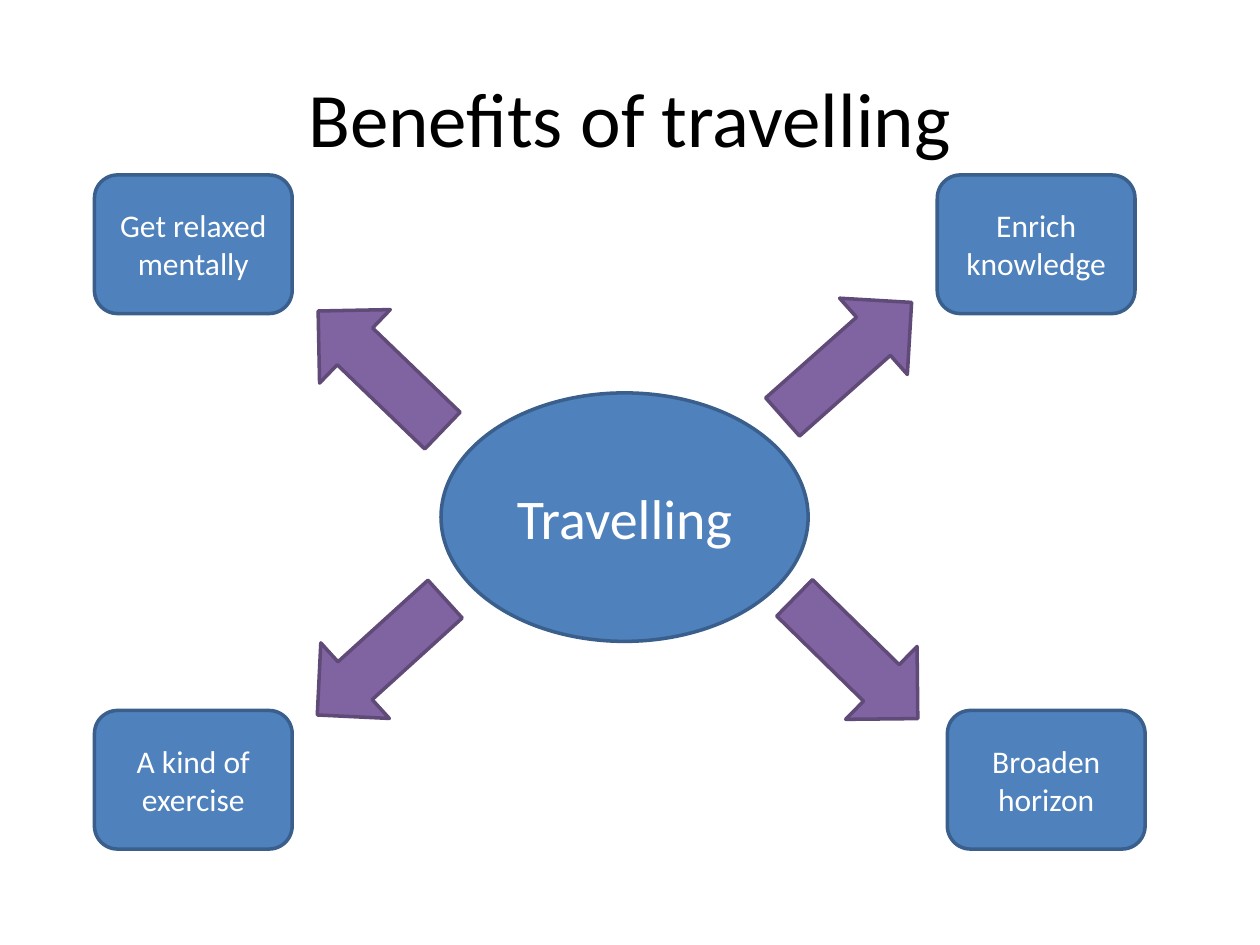
import pptx
import pptx.dml.color
import pptx.enum.shapes
import pptx.enum.text
import pptx.util

Pt = pptx.util.Pt
SHAPES = pptx.enum.shapes.MSO_SHAPE


def color(hex_string):
    return pptx.dml.color.RGBColor.from_string(hex_string)


class SlideBuilder:
    FONT = "Calibri"
    BLUE = ("4F81BD", "3A5F8C")
    PURPLE = ("8064A2", "5F4A78")
    BOX_SIZE = (113, 79.2)
    ARROW_SIZE = (98.6, 58.3)

    def __init__(self, slide):
        self.slide = slide

    def set_text(self, shape, text, size, text_color):
        frame = shape.text_frame
        frame.word_wrap = True
        frame.vertical_anchor = pptx.enum.text.MSO_ANCHOR.MIDDLE
        paragraph = frame.paragraphs[0]
        paragraph.alignment = pptx.enum.text.PP_ALIGN.CENTER
        run = paragraph.add_run()
        run.text = text
        run.font.name = self.FONT
        run.font.size = Pt(size)
        run.font.color.rgb = color(text_color)

    def title(self, text, left, top, width, height):
        shape = self.slide.shapes.title
        shape.left, shape.top = Pt(left), Pt(top)
        shape.width, shape.height = Pt(width), Pt(height)
        self.set_text(shape, text, 44, "000000")

    def filled_shape(self, preset, position, size, colors):
        shape = self.slide.shapes.add_shape(
            preset, *[Pt(length) for length in (*position, *size)])
        shape.shadow.inherit = False
        fill, line = colors
        shape.fill.solid()
        shape.fill.fore_color.rgb = color(fill)
        shape.line.color.rgb = color(line)
        shape.line.width = Pt(2)
        return shape

    def hub(self, text, position, size):
        shape = self.filled_shape(SHAPES.OVAL, position, size, self.BLUE)
        self.set_text(shape, text, 32, "FFFFFF")

    def arrow(self, position, rotation):
        shape = self.filled_shape(
            SHAPES.RIGHT_ARROW, position, self.ARROW_SIZE, self.PURPLE)
        shape.rotation = rotation

    def box(self, text, position):
        shape = self.filled_shape(
            SHAPES.ROUNDED_RECTANGLE, position, self.BOX_SIZE, self.BLUE)
        self.set_text(shape, text, 18, "FFFFFF")


def main():
    presentation = pptx.Presentation()
    presentation.slide_width = Pt(720)
    presentation.slide_height = Pt(540)
    slide = presentation.slides.add_slide(presentation.slide_layouts[5])
    builder = SlideBuilder(slide)

    builder.title("Benefits of travelling", 36, 21.6, 648, 90)
    builder.hub("Travelling", (252, 224.5), (209.8, 142))

    top_row, bottom_row = 100, 406
    benefits = [
        ("Get relaxed mentally", (54, top_row), (168, 182.7), 223.9),
        ("A kind of exercise", (54, bottom_row), (168.5, 346.3), 137.8),
        ("Enrich knowledge", (535.6, top_row), (434.8, 176.4), 318.4),
        ("Broaden horizon", (541.4, bottom_row), (440, 347), 44.4),
    ]
    for text, box_position, arrow_position, rotation in benefits:
        builder.arrow(arrow_position, rotation)
        builder.box(text, box_position)

    presentation.save("out.pptx")


if __name__ == "__main__":
    main()
